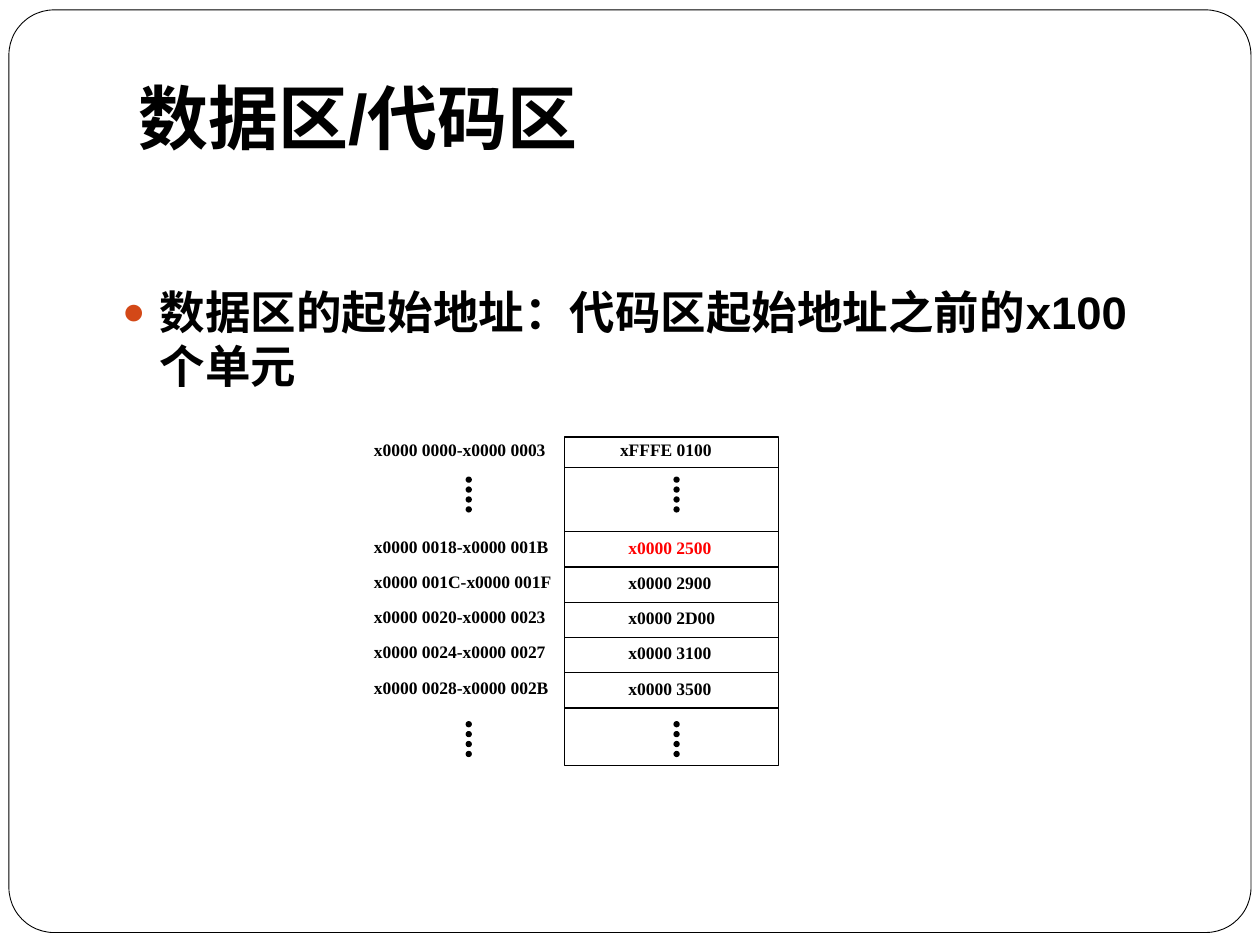
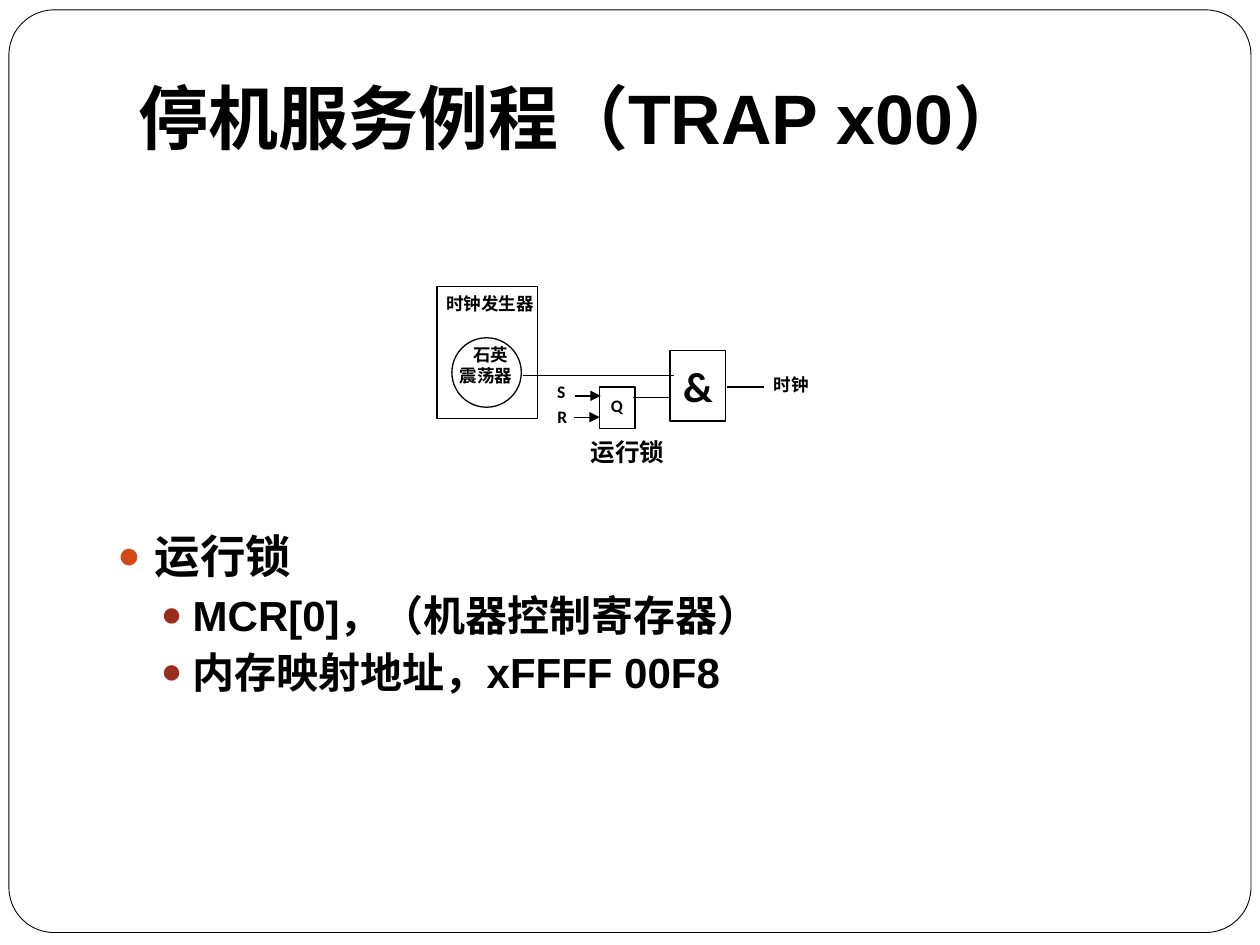
from lxml.etree import SubElement
from pptx import Presentation
from pptx.dml.color import RGBColor
from pptx.enum.shapes import MSO_CONNECTOR, MSO_SHAPE
from pptx.enum.text import MSO_ANCHOR, MSO_AUTO_SIZE, PP_ALIGN
from pptx.oxml.ns import qn
from pptx.util import Cm, Pt

BLACK, WHITE, RED = "000000", "FFFFFF", "FF0000"
# Per list level: text size, bullet colour, left edge, hanging indent, space before
LEVELS = [(26, "D34817", 0.76, 0.76, 5.8), (24, "9B2D1F", 1.52, 0.64, 3.7)]
ROW = 0.71


def rgb(code):
    return RGBColor.from_string(code)


def style(para, size, face, color=BLACK):
    for run in para.runs:
        font = run.font
        font.size, font.name, font.bold = Pt(size), face, True
        font.color.rgb = rgb(color)


def place(shape, box):
    shape.left, shape.top, shape.width, shape.height = map(Cm, box)


def shift(origin, x, y):
    return origin[0] + x, origin[1] + y


def draw(slide, kind, box, fill=None, width=0.75):
    shape = slide.shapes.add_shape(kind, *map(Cm, box))
    shape.shadow.inherit = False
    if fill:
        shape.fill.solid()
        shape.fill.fore_color.rgb = rgb(fill)
    else:
        shape.fill.background()
    shape.line.color.rgb = rgb(BLACK)
    shape.line.width = Pt(width)
    return shape


def link(slide, start, end, arrow=False):
    line = slide.shapes.add_connector(
        MSO_CONNECTOR.STRAIGHT, *map(Cm, (*start, *end)))
    line.line.color.rgb = rgb(BLACK)
    line.line.width = Pt(0.75)
    if arrow:
        SubElement(line.line._get_or_add_ln(), qn("a:tailEnd"), type="triangle")
    SubElement(line.element.spPr, qn("a:effectLst"))


def write(shape, text, size, face, color=BLACK, aligns=(PP_ALIGN.CENTER,), pad=0.03):
    """Fill a shape with small bold text, one alignment per paragraph."""
    frame = shape.text_frame
    frame.word_wrap = True
    frame.margin_left = frame.margin_right = Cm(0.05)
    frame.margin_top = frame.margin_bottom = Cm(pad)
    frame.text = text
    for para, align in zip(frame.paragraphs, aligns):
        para.alignment = align
        style(para, size, face, color)


def label(slide, box, text, size=10, face="Calibri", **look):
    write(slide.shapes.add_textbox(*map(Cm, box)), text, size, face, **look)


def bullet(para, level):
    size, color, left, hang, space = LEVELS[level]
    para.level = level
    para.space_before = Pt(space)
    props = para._p.get_or_add_pPr()
    props.set("marL", str(Cm(left)))
    props.set("indent", str(-Cm(hang)))
    SubElement(SubElement(props, qn("a:buClr")), qn("a:srgbClr"), val=color)
    SubElement(props, qn("a:buSzPct"), val="85000")
    SubElement(props, qn("a:buFont"), typeface="Arial")
    SubElement(props, qn("a:buChar"), char="●")
    style(para, size, "Arial")


def page(deck, title, box, items):
    """Add a slide with a title and a bulleted list of (level, text) items."""
    slide = deck.slides.add_slide(deck.slide_layouts[1])
    head, body = slide.placeholders
    place(head, (2.54, 0.76, 21.59, 3.18))
    place(body, box)
    for shape in (head, body):
        shape.text_frame.auto_size = MSO_AUTO_SIZE.NONE
    head.text_frame.text = title
    head.text_frame.vertical_anchor = MSO_ANCHOR.MIDDLE
    para = head.text_frame.paragraphs[0]
    para.alignment = PP_ALIGN.LEFT
    style(para, 40, "Arial")
    frame = body.text_frame
    frame.text = "\n".join(text for _, text in items)
    for para, (level, _) in zip(frame.paragraphs, items):
        bullet(para, level)
    frame.paragraphs[0].space_before = Pt(0)
    return slide


def border(deck, slide):
    """Draw the rounded frame and move it to the back of the master."""
    frame = draw(slide, MSO_SHAPE.ROUNDED_RECTANGLE,
                 (0.18, 0.2, 25.04, 18.6), WHITE, 0.5)
    frame.adjustments[0] = 0.049
    frame.element.nvSpPr.cNvPr.set("id", "20")
    deck.slide_master.shapes.element.insert(2, frame.element)


def memory(slide, origin):
    """Draw the memory column with addresses on its left."""
    width, height = 4.32, 6.63
    cells = [
        ("x0000 0018-x0000 001B", "x0000 2500"),
        ("x0000 001C-x0000 001F", "x0000 2900"),
        ("x0000 0020-x0000 0023", "x0000 2D00"),
        ("x0000 0024-x0000 0027", "x0000 3100"),
        ("x0000 0028-x0000 002B", "x0000 3500"),
    ]
    tops = [1.91 + ROW * i for i in range(len(cells) + 1)]
    draw(slide, MSO_SHAPE.RECTANGLE, (*origin, width, height))
    for y in [0.61, *tops]:
        link(slide, shift(origin, 0, y), shift(origin, width, y))

    def entry(x, y, text, color=BLACK):
        label(slide, (*shift(origin, x, y), 3.89, 0.5) if x < 0
              else (*shift(origin, x, y), 2.3, 0.5),
              text, face="Times New Roman", color=color,
              aligns=(PP_ALIGN.LEFT,), pad=0)

    entry(-3.89, 0.05, "x0000 0000-x0000 0003")
    entry(1.07, 0.05, "xFFFE 0100")
    for i, (top, (address, value)) in enumerate(zip(tops, cells)):
        entry(-3.89, top + 0.08, address)
        entry(1.24, top + 0.1, value, BLACK if i else RED)
    for x in (-1.98, 2.21):
        for y in (0.81, 5.74):
            for i in range(4):
                draw(slide, MSO_SHAPE.OVAL,
                     (*shift(origin, x, y + 0.2 * i), 0.1, 0.1), BLACK)


def clock(slide, origin):
    """Draw the clock generator, the run latch and the AND gate."""
    def at(x, y, *size):
        return (*shift(origin, x, y), *size)

    draw(slide, MSO_SHAPE.RECTANGLE, at(0, 0, 2.03, 2.67))
    draw(slide, MSO_SHAPE.OVAL, at(0.3, 1.04, 1.4, 1.4))
    draw(slide, MSO_SHAPE.RECTANGLE, at(3.28, 2.03, 0.71, 0.84))
    gate = draw(slide, MSO_SHAPE.RECTANGLE, at(4.7, 1.3, 1.12, 1.42))
    gate.text_frame.vertical_anchor = MSO_ANCHOR.MIDDLE
    write(gate, "&", 24, "Calibri")

    wires = [
        (4.78, 1.73, 1.8, False),
        (4.72, 3.96, 2.24, False),
        (6.6, 5.84, 2.03, False),
        (2.79, 3.3, 2.21, True),
        (2.77, 3.28, 2.64, True),
    ]
    for start, end, y, arrow in wires:
        link(slide, at(start, y), at(end, y), arrow)

    label(slide, at(0.41, 1.14, 1.35, 1.07), "石英\n震荡器",
          aligns=(PP_ALIGN.CENTER, PP_ALIGN.JUSTIFY))
    label(slide, at(3.05, 3.02, 1.65, 0.94), "运行锁", 14,
          aligns=(PP_ALIGN.JUSTIFY,))
    names = [
        ("时钟发生器", -0.1, 0.1, 2.34),
        ("Q", 3.28, 2.16, 0.69),
        ("S", 2.16, 1.88, 0.69),
        ("R", 2.18, 2.39, 0.69),
        ("时钟", 6.63, 1.75, 1.02),
    ]
    for text, x, y, width in names:
        label(slide, at(x, y, width, 0.64), text)


def main():
    deck = Presentation()
    deck.slide_width, deck.slide_height = Cm(25.4), Cm(19.05)

    data = page(deck, "数据区/代码区", (2.21, 5.59, 21, 2.87),
                [(0, "数据区的起始地址：代码区起始地址之前的x100个单元")])
    border(deck, data)
    memory(data, (11.38, 8.81))

    halt = page(deck, "停机服务例程（TRAP x00）", (2.11, 10.52, 21.59, 6.5),
                [(0, "运行锁"),
                 (1, "MCR[0]，（机器控制寄存器）"),
                 (1, "内存映射地址，xFFFF 00F8")])
    clock(halt, (8.81, 5.77))

    deck.save("out.pptx")


if __name__ == "__main__":
    main()
